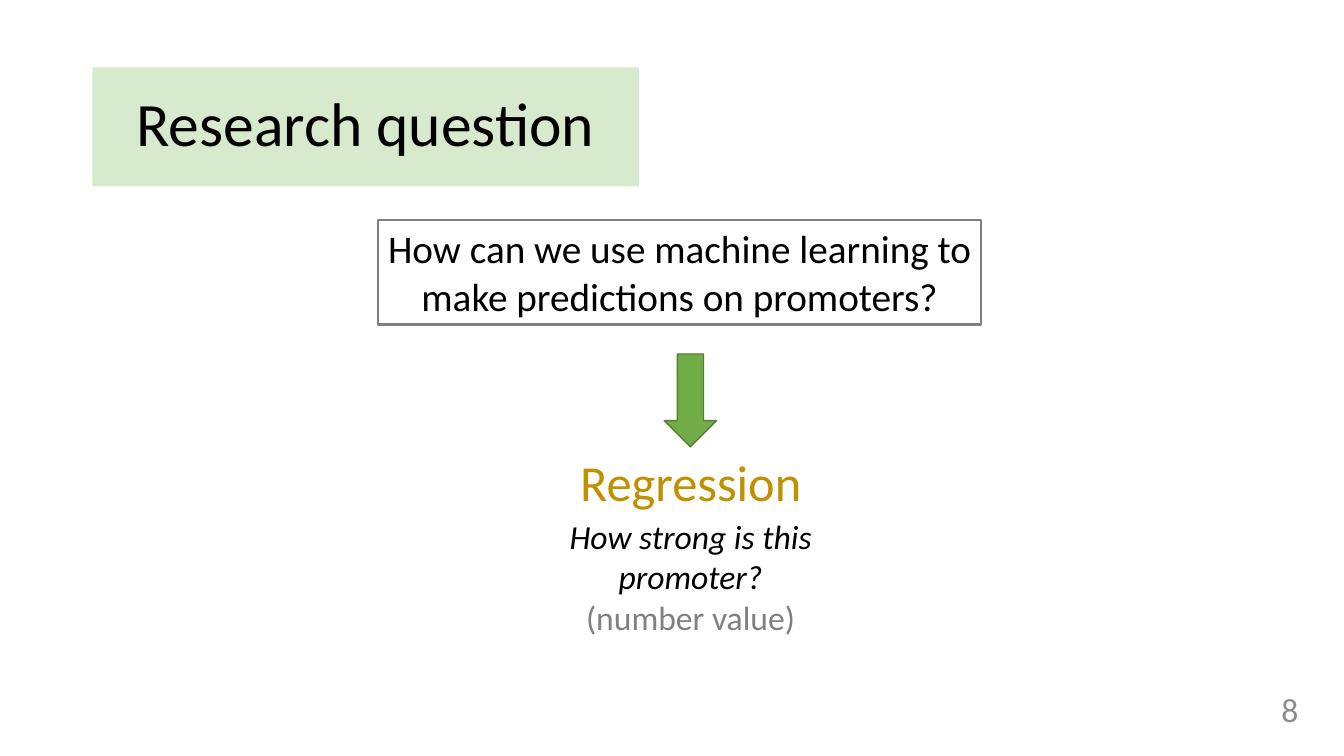
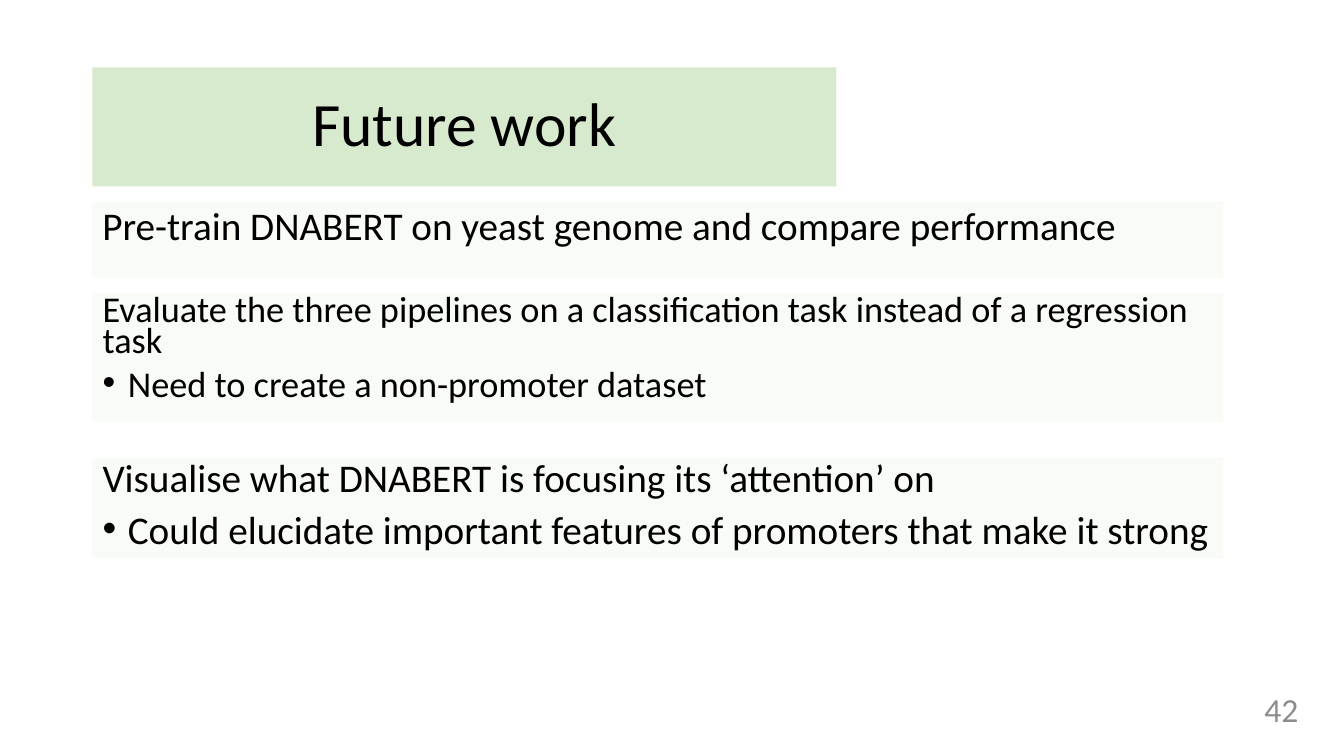
from lxml import etree
from pptx import Presentation
from pptx.dml.color import RGBColor
from pptx.enum import shapes, text
from pptx.oxml import ns
from pptx.util import Cm, Pt

HUES = {
    "ink": "000000",
    "grey": "808080",
    "page": "8C8C8C",
    "gold": "BF9000",
    "band": "C5E0B4",
    "panel": "E2F0D9",
    "arrow": "70AD47",
    "edge": "538035",
}
FONT = "Calibri"
LEFT = 2.33
WIDE = 28.5
MID = text.PP_ALIGN.CENTER


def hue(name):
    return RGBColor.from_string(HUES[name])


def place(shape, box):
    shape.left, shape.top, shape.width, shape.height = map(Cm, box)


def tint(shape, name, alpha):
    shape.fill.solid()
    shape.fill.fore_color.rgb = hue(name)
    color = shape.fill._xPr.find(".//" + ns.qn("a:srgbClr"))
    etree.SubElement(color, ns.qn("a:alpha"), val=str(alpha * 1000))


def outline(shape, name, width):
    shape.shadow.inherit = False
    shape.line.color.rgb = hue(name)
    shape.line.width = Pt(width)


def style(para, size, color="ink", align=None, italic=None):
    para.alignment = align
    font = para.font
    font.name, font.size, font.italic = FONT, Pt(size), italic
    font.color.rgb = hue(color)


def setup(frame, anchor=text.MSO_ANCHOR.TOP):
    frame.word_wrap = True
    frame.auto_size = text.MSO_AUTO_SIZE.NONE
    frame.vertical_anchor = anchor


def bullet(para, shown):
    props = para._p.get_or_add_pPr()
    indent = Cm(0.64) if shown else 0
    props.set("marL", str(indent))
    props.set("indent", str(-indent))
    if shown:
        etree.SubElement(props, ns.qn("a:buChar"), char="•")
    else:
        etree.SubElement(props, ns.qn("a:buNone"))


def title(slide, words, width):
    shape = slide.shapes.title
    place(shape, (LEFT, 1.7, width, 3))
    tint(shape, "band", 66)
    setup(shape.text_frame, text.MSO_ANCHOR.MIDDLE)
    shape.text_frame.text = words
    para = shape.text_frame.paragraphs[0]
    para.line_spacing = 0.9
    style(para, 44, align=MID)


def label(slide, box, lines, anchor=text.MSO_ANCHOR.TOP):
    shape = slide.shapes.add_textbox(*map(Cm, box))
    frame = shape.text_frame
    setup(frame, anchor)
    frame.text = "\n".join(words for words, _ in lines)
    for para, (_, look) in zip(frame.paragraphs, lines):
        style(para, **look)
    return shape


def number(slide, value):
    look = dict(size=24, color="page", align=text.PP_ALIGN.RIGHT)
    label(slide, (25.35, 17.35, 7.62, 1.02), [(value, look)],
          text.MSO_ANCHOR.MIDDLE)


def panel(shape, top, height, lines, size, gap):
    place(shape, (LEFT, top, WIDE, height))
    tint(shape, "panel", 21)
    frame = shape.text_frame
    setup(frame)
    frame.text = "\n".join(lines)
    for row, para in enumerate(frame.paragraphs):
        bullet(para, row > 0)
        para.line_spacing = gap
        para.space_before = Pt(10 if row else 0)
        style(para, size, align=text.PP_ALIGN.LEFT)


def question(deck):
    slide = deck.slides.add_slide(deck.slide_layouts[5])
    title(slide, "Research question", 13.77)
    ask = label(slide, (9.53, 5.54, 15.19, 2.64), [
        ("How can we use machine learning to make predictions on promoters?",
         dict(size=28, align=MID)),
    ])
    outline(ask, "grey", 1.5)
    arrow = slide.shapes.add_shape(
        shapes.MSO_SHAPE.DOWN_ARROW, Cm(16.74), Cm(8.92), Cm(1.32), Cm(2.34))
    arrow.fill.solid()
    arrow.fill.fore_color.rgb = hue("arrow")
    outline(arrow, "edge", 1)
    label(slide, (13.28, 11.25, 8.26, 1.8), [
        ("Regression", dict(size=36, color="gold", align=MID)),
    ])
    label(slide, (13.39, 12.88, 8.03, 3.33), [
        ("How strong is this promoter?",
         dict(size=24, align=MID, italic=True)),
        ("(number value)", dict(size=24, color="grey", align=MID)),
    ])
    number(slide, "8")


def future(deck):
    slide = deck.slides.add_slide(deck.slide_layouts[3])
    title(slide, "Future work", 18.75)
    first = slide.shapes.add_textbox(0, 0, 0, 0)
    panel(first, 5.08, 1.93, [
        "Pre-train DNABERT on yeast genome and compare performance",
    ], 28, 0.9)
    panel(slide.placeholders[1], 7.39, 3.25, [
        "Evaluate the three pipelines on a classification task "
        "instead of a regression task",
        "Need to create a non-promoter dataset",
    ], 25.9, 0.7)
    panel(slide.placeholders[2], 11.53, 2.54, [
        "Visualise what DNABERT is focusing its ‘attention’ on",
        "Could elucidate important features of promoters that make it strong",
    ], 28, 0.8)
    number(slide, "42")


def main():
    deck = Presentation()
    deck.slide_width, deck.slide_height = Cm(33.87), Cm(19.05)
    question(deck)
    future(deck)
    deck.save("out.pptx")


if __name__ == "__main__":
    main()
